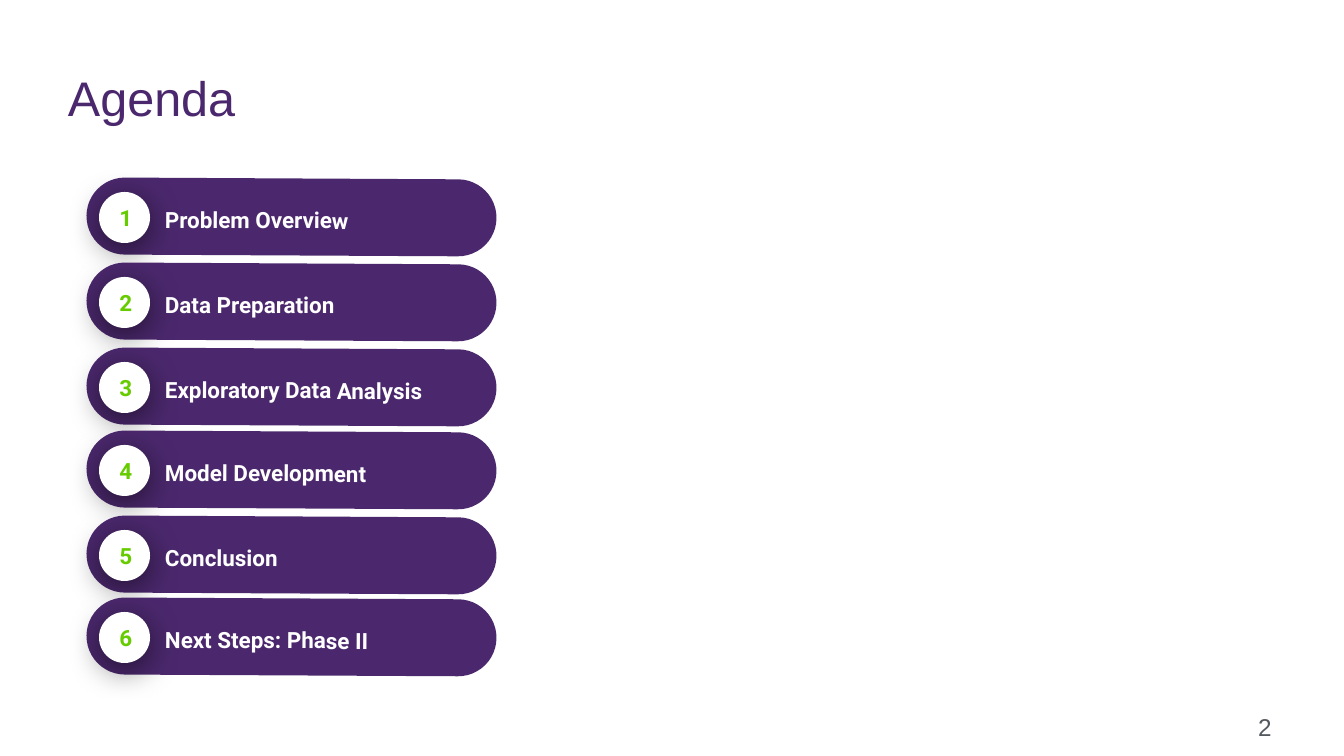
from lxml import etree
from pptx import Presentation
from pptx.dml.color import RGBColor
from pptx.enum.shapes import MSO_SHAPE
from pptx.enum.text import MSO_ANCHOR, MSO_AUTO_SIZE, PP_ALIGN
from pptx.oxml.ns import qn
from pptx.util import Pt

PILL, DISC = MSO_SHAPE.ROUNDED_RECTANGLE, MSO_SHAPE.OVAL
MIDDLE, BOTTOM = MSO_ANCHOR.MIDDLE, MSO_ANCHOR.BOTTOM
LEFT, CENTER = PP_ALIGN.LEFT, PP_ALIGN.CENTER
FIXED = MSO_AUTO_SIZE.NONE


class Theme:
    purple, green = RGBColor(0x4B, 0x28, 0x6D), RGBColor(0x66, 0xCC, 0x00)
    white, gray = RGBColor(255, 255, 255), RGBColor(0x54, 0x59, 0x5F)
    head, body = "Arial", "Roboto"
    title, item, page = 26, 12, 13


def box(*px):
    """Turn px lengths into EMU at 134.4 px to the inch."""
    return [round(n * 914400 / 134.4) for n in px]


def write(shape, text, font, size, color, bold=False, align=LEFT,
          anchor=MIDDLE, inset=(13, 13)):
    frame = shape.text_frame
    frame.word_wrap, frame.auto_size = True, FIXED
    frame.vertical_anchor = anchor
    side, edge = box(*inset)
    frame.margin_left = frame.margin_right = side
    frame.margin_top = frame.margin_bottom = edge
    para = frame.paragraphs[0]
    para.alignment = align
    run = para.add_run()
    run.text = text
    run.font.name, run.font.size, run.font.bold = font, Pt(size), bold
    run.font.color.rgb = color
    return para


deck = Presentation()
deck.slide_width, deck.slide_height = box(1344, 756)
slide = deck.slides.add_slide(deck.slide_layouts[5])

# Page number
page = slide.shapes.add_textbox(*box(1258, 698, 81, 58))
write(page, "2", Theme.head, Theme.page, Theme.gray, inset=(0, 0))

# Title
title = slide.shapes.title
title.left, title.top, title.width, title.height = box(55, 19, 1176, 114)
write(title, "Agenda", Theme.head, Theme.title, Theme.purple,
      anchor=BOTTOM, inset=(13, 7))

# Agenda items: top of each disc and its label
items = [(192, "Problem Overview"), (277, "Data Preparation"),
         (362, "Exploratory Data Analysis"), (445, "Model Development"),
         (530, "Conclusion"), (612, "Next Steps: Phase II")]
tilt = 0.3

for num, (top, text) in enumerate(items, 1):
    group = slide.shapes.add_group_shape().shapes

    # Pill, an upright bar turned on its side
    pill = group.add_shape(PILL, *box(253, top - 180, 77, 410))
    pill.adjustments[0] = 0.5
    pill.rotation = 90 + tilt

    # Number disc
    disc = group.add_shape(DISC, *box(99, top, 51, 51))
    disc.rotation = tilt
    write(disc, str(num), Theme.body, Theme.item, Theme.green, True, CENTER)

    for shape, color in ((pill, Theme.purple), (disc, Theme.white)):
        shape.shadow.inherit = False
        shape.fill.solid()
        shape.fill.fore_color.rgb = color
        shape.line.fill.background()

    # Soft shadow below the disc
    effects = disc._element.spPr.find(qn("a:effectLst"))
    shadow = etree.SubElement(effects, qn("a:outerShdw"), blurRad=str(Pt(18)),
                              dist=str(Pt(4)), dir="5400000",
                              algn="ctr", rotWithShape="0")
    black = etree.SubElement(shadow, qn("a:srgbClr"), val="000000")
    etree.SubElement(black, qn("a:alpha"), val="55000")

    # Label
    label = group.add_textbox(*box(152, top - 1, 316, 54))
    label.rotation = tilt
    para = write(label, text, Theme.body, Theme.item, Theme.white, True)
    para.line_spacing = 1.15

deck.save("out.pptx")
